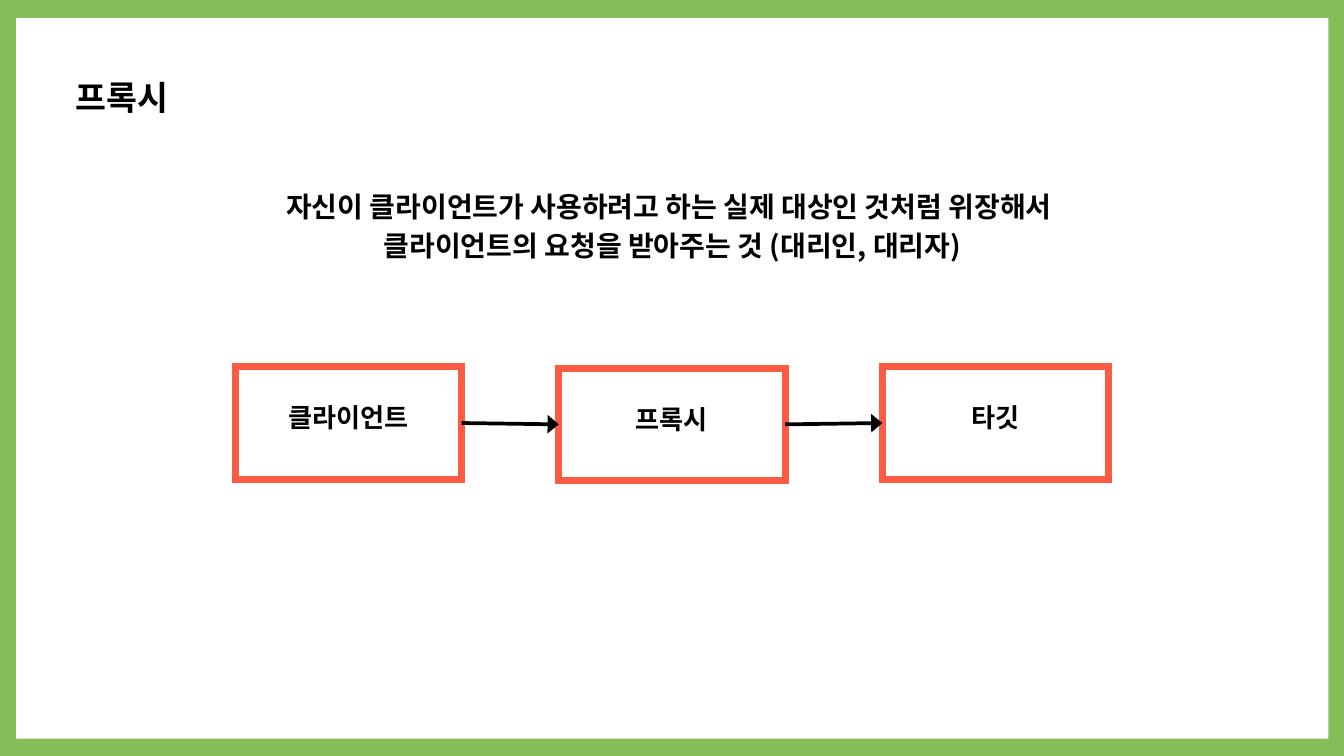
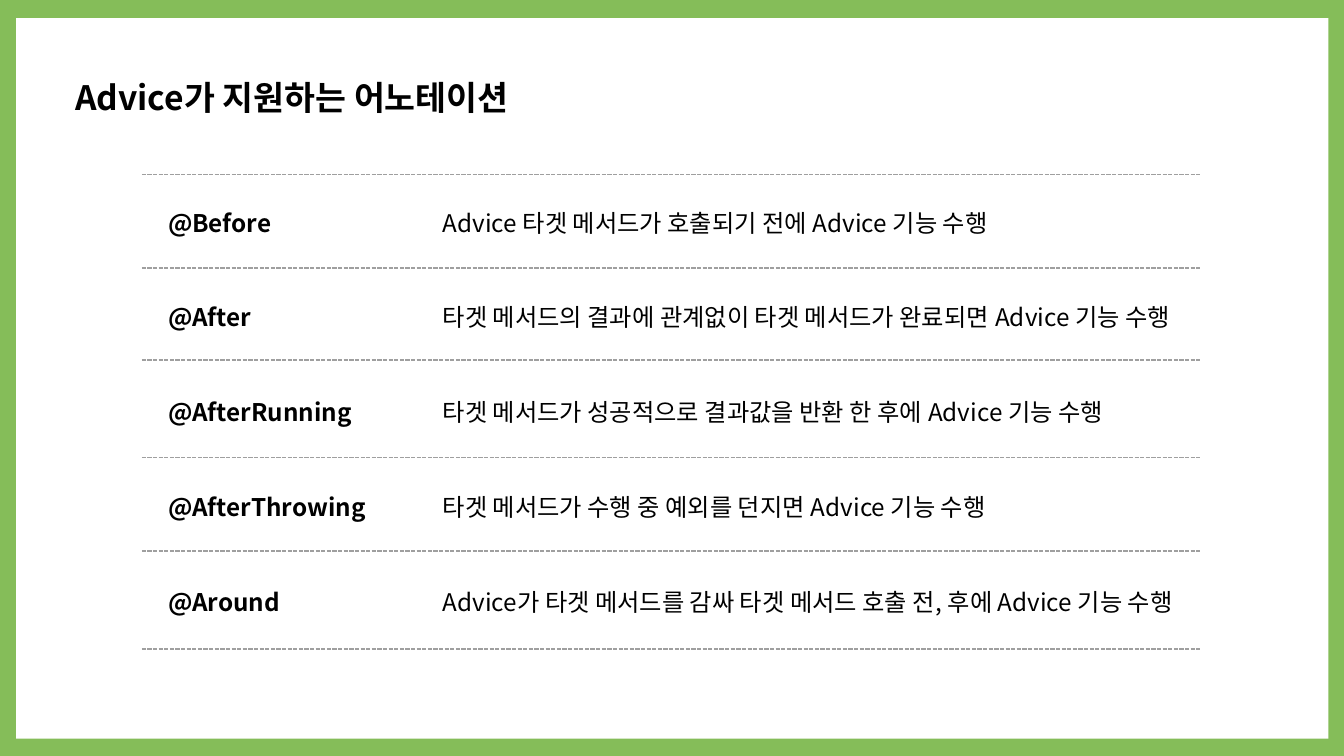
"""Builds two slides on proxies and the annotations that Advice supports."""
from lxml.etree import SubElement
from pptx import Presentation
from pptx.dml.color import RGBColor
from pptx.enum.dml import MSO_LINE_DASH_STYLE as Dash
from pptx.enum.shapes import MSO_CONNECTOR as Connector, MSO_SHAPE as Shape
from pptx.enum.text import MSO_ANCHOR as Anchor, PP_ALIGN as Align
from pptx.oxml.ns import qn
from pptx.util import Inches, Pt

FONT = "Noto Sans CJK SC"
GREEN, WHITE, BLACK, RED, GREY = "85BD59", "FFFFFF", "000000", "FD5B43", "9F9F9F"
TITLES = ["프록시", "Advice가 지원하는 어노테이션"]
DEFINITION = [
    "자신이 클라이언트가 사용하려고 하는 실제 대상인 것처럼 위장해서 ",
    "클라이언트의 요청을 받아주는 것 (대리인, 대리자)",
]
ROLES = [("클라이언트", 5.46), ("프록시", 5.48), ("타깃", 5.46)]
ANNOTATIONS = [
    ("@Before", "Advice 타겟 메서드가 호출되기 전에 Advice 기능 수행"),
    ("@After", "타겟 메서드의 결과에 관계없이 타겟 메서드가 완료되면 Advice 기능 수행"),
    ("@AfterRunning", "타겟 메서드가 성공적으로 결과값을 반환 한 후에 Advice 기능 수행"),
    ("@AfterThrowing", "타겟 메서드가 수행 중 예외를 던지면 Advice 기능 수행"),
    ("@Around", "Advice가 타겟 메서드를 감싸 타겟 메서드 호출 전, 후에 Advice 기능 수행"),
]
DIVIDER_LEVELS = [2.6, 3.99, 5.36, 6.81, 8.2, 9.66]


def color(hex_code):
    return RGBColor.from_string(hex_code)


def write(holder, lines, size, bold=True, align=Align.LEFT, margins=(0, 0, 0, 0)):
    frame = holder.text_frame
    frame.word_wrap = True
    frame.margin_left, frame.margin_top, frame.margin_right, frame.margin_bottom = map(Inches, margins)
    for number, line in enumerate(lines):
        paragraph = frame.add_paragraph() if number else frame.paragraphs[0]
        paragraph.text = line
        paragraph.alignment = align
        paragraph.line_spacing = Pt(size * 1.4)
        paragraph.font.size = Pt(size)
        paragraph.font.bold = bold
        paragraph.font.name = FONT
        paragraph.font.color.rgb = color(BLACK)
        defaults = paragraph._p.pPr.find(qn("a:defRPr"))
        SubElement(defaults, qn("a:ea"), typeface=FONT)


deck = Presentation()
deck.slide_width, deck.slide_height = Inches(20), Inches(11.25)

for heading in TITLES:
    slide = deck.slides.add_slide(deck.slide_layouts[6])
    slide.background.fill.solid()
    slide.background.fill.fore_color.rgb = color(GREEN)
    page = slide.shapes.add_shape(Shape.RECTANGLE, Inches(0.24), Inches(0.27), Inches(19.53), Inches(10.72))
    page.shadow.inherit = False
    page.fill.solid()
    page.fill.fore_color.rgb = color(WHITE)
    page.line.fill.background()
    title = slide.shapes.add_textbox(Inches(1.12), Inches(1.04), Inches(10.38), Inches(0.68))
    write(title, [heading], 36)

proxy_slide, advice_slide = deck.slides

definition = proxy_slide.shapes.add_textbox(Inches(3.5), Inches(2.74), Inches(13.01), Inches(1.12))
write(definition, DEFINITION, 30, align=Align.CENTER)

role_boxes = []
for column, (role, top) in enumerate(ROLES):
    role_box = proxy_slide.shapes.add_shape(
        Shape.RECTANGLE, Inches(3.5 + 4.815 * column), Inches(top), Inches(3.37), Inches(1.67))
    role_box.shadow.inherit = False
    role_box.fill.solid()
    role_box.fill.fore_color.rgb = color(WHITE)
    role_box.line.color.rgb = color(RED)
    role_box.line.width = Pt(7.5)
    SubElement(role_box.line._get_or_add_ln(), qn("a:miter"), lim="800000")
    role_box.text_frame.vertical_anchor = Anchor.MIDDLE
    write(role_box, [role], 28, align=Align.CENTER, margins=(0.06, 0.06, 0.06, 0.3))
    role_boxes.append(role_box)

for caller, callee in zip(role_boxes, role_boxes[1:]):
    request = proxy_slide.shapes.add_connector(Connector.STRAIGHT, 0, 0, 0, 0)
    request.begin_connect(caller, 3)
    request.end_connect(callee, 1)
    request.line.color.rgb = color(BLACK)
    request.line.width = Pt(4)
    SubElement(request.line._get_or_add_ln(), qn("a:tailEnd"), type="triangle", w="lg", len="med")
    SubElement(request._element.spPr, qn("a:effectLst"))

for row, (annotation, meaning) in enumerate(ANNOTATIONS):
    top = Inches(3.02 + 1.41 * row)
    annotation_box = advice_slide.shapes.add_textbox(Inches(2.5), top, Inches(3.58), Inches(0.48))
    write(annotation_box, [annotation], 26)
    meaning_box = advice_slide.shapes.add_textbox(Inches(6.59), top, Inches(11.54), Inches(0.48))
    write(meaning_box, [meaning], 26, bold=False)

for level in DIVIDER_LEVELS:
    divider = advice_slide.shapes.add_connector(
        Connector.STRAIGHT, Inches(2.11), Inches(level), Inches(17.87), Inches(level))
    divider.line.color.rgb = color(GREY)
    divider.line.width = Pt(1.5)
    divider.line.dash_style = Dash.SQUARE_DOT
    SubElement(divider._element.spPr, qn("a:effectLst"))

deck.save("out.pptx")
